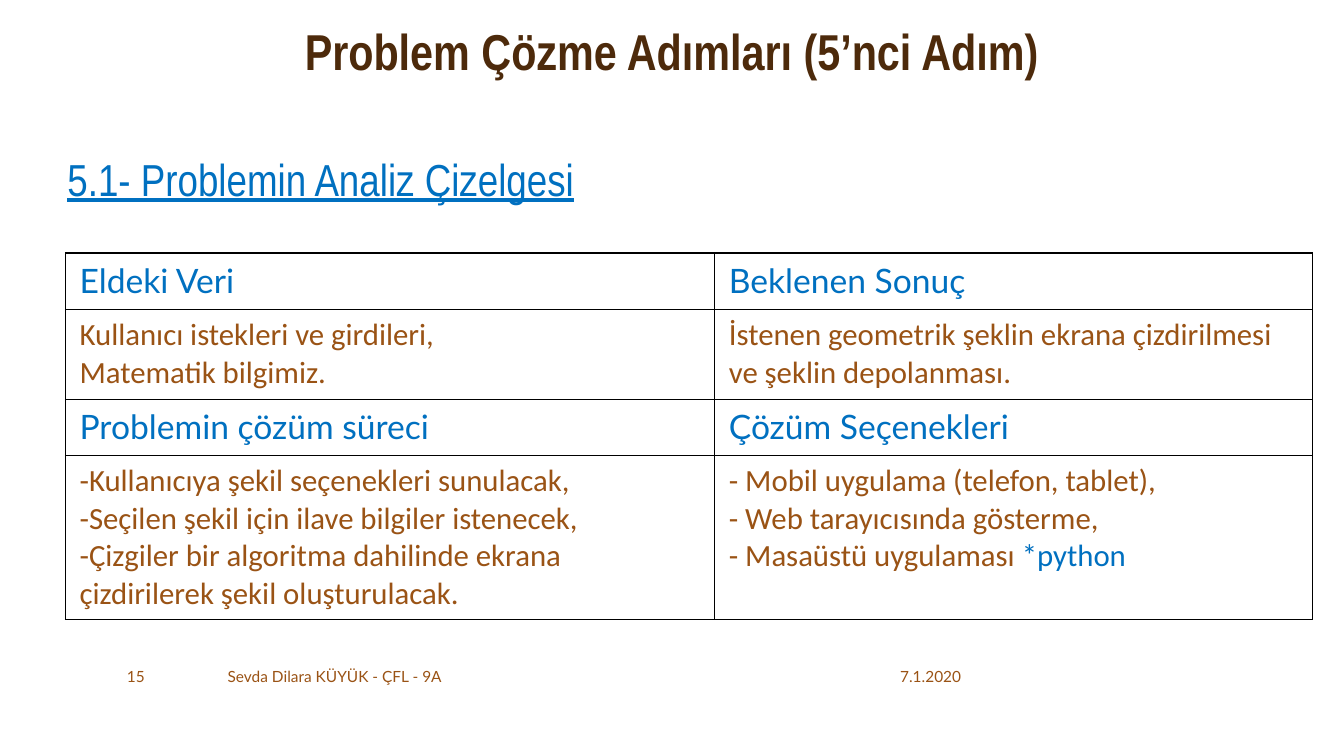
import pptx
import pptx.dml.color
import pptx.enum.text
import pptx.oxml
import pptx.oxml.ns
import pptx.util
from pptx.dml.color import RGBColor
from pptx.util import Inches

DARK_BROWN = RGBColor(0x4D, 0x2A, 0x0B)
BROWN = RGBColor(0x9A, 0x53, 0x15)
BLUE = RGBColor(0x00, 0x70, 0xC0)
BORDER = RGBColor(0x00, 0x00, 0x00)

COLUMN_WIDTHS = (6.44, 5.93)
ROW_HEIGHTS = (0.56, 0.89, 0.56, 1.63)
ANALYSIS = (
    (("Eldeki Veri",), ("Beklenen Sonuç",)),
    (
        ("Kullanıcı istekleri ve girdileri,", "Matematik bilgimiz."),
        ("İstenen geometrik şeklin ekrana çizdirilmesi ve şeklin depolanması.",),
    ),
    (("Problemin çözüm süreci",), ("Çözüm Seçenekleri",)),
    (
        (
            "-Kullanıcıya şekil seçenekleri sunulacak,",
            "-Seçilen şekil için ilave bilgiler istenecek,",
            "-Çizgiler bir algoritma dahilinde ekrana çizdirilerek şekil oluşturulacak.",
        ),
        (
            "- Mobil uygulama (telefon, tablet),",
            "- Web tarayıcısında gösterme,",
            ("- Masaüstü uygulaması ", "*python"),
        ),
    ),
)


class SlideBuilder:
    """Draws styled text and tables on the current slide."""

    def __init__(self, slide):
        self.slide = slide

    def style(self, font, size, name, color):
        font.size = pptx.util.Pt(size)
        font.name = name
        font.color.rgb = color

    def text(self, text, left, top, width, height, size, name, color, middle=True):
        shape = self.slide.shapes.add_textbox(
            Inches(left), Inches(top), Inches(width), Inches(height)
        )
        frame = shape.text_frame
        frame.word_wrap = True
        anchor = pptx.enum.text.MSO_ANCHOR
        frame.vertical_anchor = anchor.MIDDLE if middle else anchor.TOP
        paragraph = frame.paragraphs[0]
        paragraph.text = text
        self.style(paragraph.font, size, name, color)
        return paragraph

    def border(self, cell):
        properties = cell._tc.get_or_add_tcPr()
        for index, side in enumerate(("lnL", "lnR", "lnT", "lnB")):
            line = pptx.oxml.parse_xml(
                f'<a:{side} {pptx.oxml.ns.nsdecls("a")} w="12700"><a:solidFill>'
                f'<a:srgbClr val="{BORDER}"/></a:solidFill></a:{side}>'
            )
            properties.insert(index, line)

    def cell(self, cell, lines, size, name, color):
        cell.fill.background()
        cell.margin_left = cell.margin_right = Inches(0.14)
        cell.margin_top = cell.margin_bottom = Inches(0.07)
        self.border(cell)
        for index, line in enumerate(lines):
            frame = cell.text_frame
            paragraph = frame.add_paragraph() if index else frame.paragraphs[0]
            if isinstance(line, str):
                paragraph.text = line
                self.style(paragraph.font, size, name, color)
            else:
                for part, part_color in zip(line, (color, BLUE)):
                    run = paragraph.add_run()
                    run.text = part
                    self.style(run.font, size, name, part_color)

    def table(self, rows, left, top):
        table = self.slide.shapes.add_table(
            len(ROW_HEIGHTS), len(COLUMN_WIDTHS), Inches(left), Inches(top),
            Inches(sum(COLUMN_WIDTHS)), Inches(sum(ROW_HEIGHTS)),
        ).table
        table.first_row = table.horz_banding = False
        for column, width in zip(table.columns, COLUMN_WIDTHS):
            column.width = Inches(width)
        for index, (row, height) in enumerate(zip(table.rows, ROW_HEIGHTS)):
            row.height = Inches(height)
            style = (22, "Calibri", BROWN) if index % 2 else (24, "Lato", BLUE)
            for cell, lines in zip(row.cells, rows[index]):
                self.cell(cell, lines, *style)


def main():
    presentation = pptx.Presentation()
    presentation.slide_width = Inches(13.33)
    presentation.slide_height = Inches(7.5)
    builder = SlideBuilder(presentation.slides.add_slide(presentation.slide_layouts[6]))

    title = builder.text(
        "Problem Çözme Adımları (5’nci Adım)",
        0, 0.24, 13.33, 0.59, 36, "Arial Narrow", DARK_BROWN,
    )
    title.alignment = pptx.enum.text.PP_ALIGN.CENTER
    title.line_spacing = 0.9
    title.font.bold = True

    heading = builder.text(
        "5.1- Problemin Analiz Çizelgesi",
        0.57, 1.46, 12, 0.72, 32, "Arial Narrow", BLUE, middle=False,
    )
    heading.font.underline = True

    builder.table(ANALYSIS, 0.65, 2.51)

    for text, left, width in (
        ("15", 1.16, 0.83),
        ("Sevda Dilara KÜYÜK - ÇFL - 9A", 2.16, 6.5),
        ("7.1.2020", 8.83, 1.53),
    ):
        builder.text(text, left, 6.58, width, 0.25, 11, "Lato", BROWN)

    presentation.save("out.pptx")


if __name__ == "__main__":
    main()
